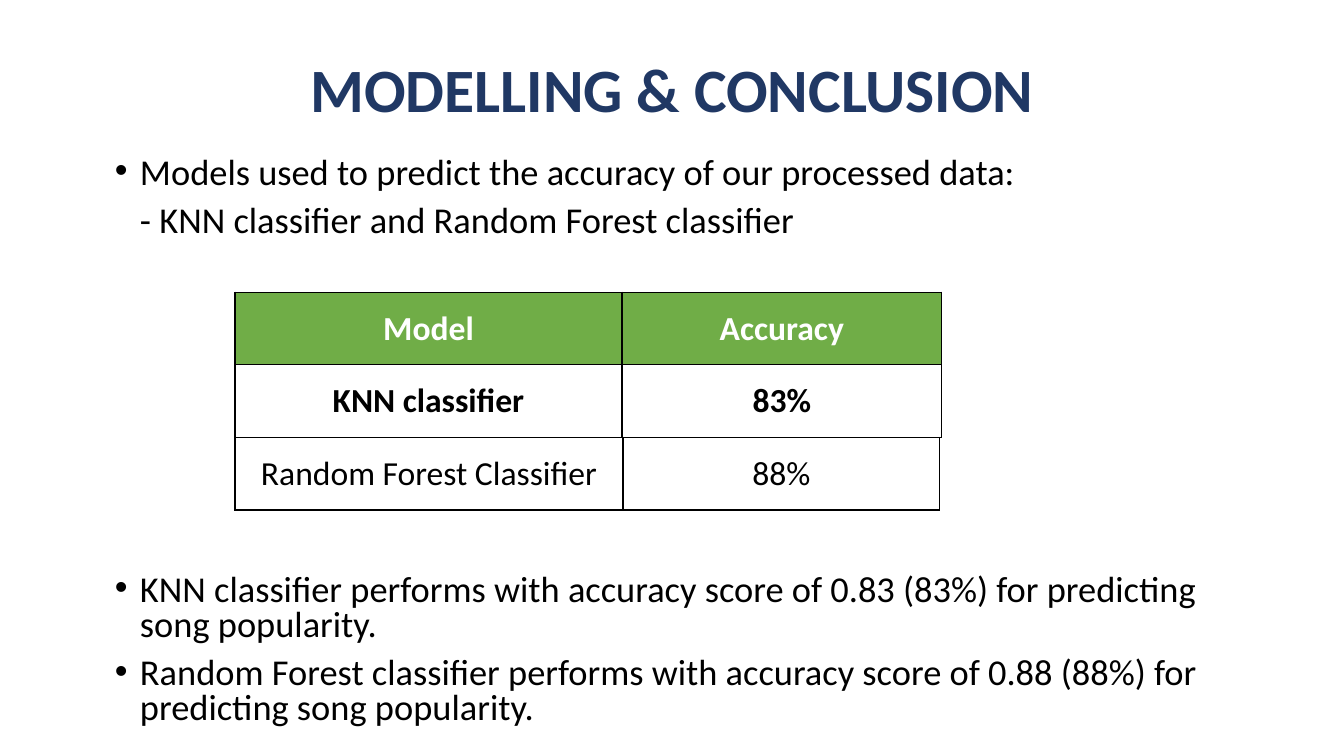
import pptx
import pptx.dml.color
import pptx.enum.text
import pptx.oxml
import pptx.oxml.ns
import pptx.util

Inches = pptx.util.Inches
Pt = pptx.util.Pt
RGBColor = pptx.dml.color.RGBColor
PP_ALIGN = pptx.enum.text.PP_ALIGN
MIDDLE = pptx.enum.text.MSO_ANCHOR.MIDDLE

NAVY = RGBColor(0x20, 0x38, 0x64)
GREEN = RGBColor(0x70, 0xAD, 0x47)
BLACK = RGBColor(0, 0, 0)
WHITE = RGBColor(0xFF, 0xFF, 0xFF)
FONT = "Calibri"

BODY = [
    ("Models used to predict the accuracy of our processed data:", True, 10),
    ("- KNN classifier and Random Forest classifier", False, 10),
    ("KNN classifier performs with accuracy score of 0.83 (83%) "
     "for predicting song popularity.", True, 238),
    ("Random Forest classifier performs with accuracy score of 0.88 (88%) "
     "for predicting song popularity.", True, 10),
]
KNN_ROWS = [
    (("Model", "Accuracy"), GREEN, WHITE, True),
    (("KNN classifier", "83%"), WHITE, BLACK, True),
]
FOREST_ROWS = [(("Random Forest Classifier", "88%"), WHITE, BLACK, False)]


def add_run(p, text, size, color, bold=False):
    """Append a formatted run to a paragraph."""
    r = p.add_run()
    r.text = text
    r.font.name = FONT
    r.font.size = Pt(size)
    r.font.bold = bold
    r.font.color.rgb = color


def add_title(s, text, left, top, width, height):
    """Place and format the slide title."""
    sp = s.shapes.title
    sp.left, sp.top = Inches(left), Inches(top)
    sp.width, sp.height = Inches(width), Inches(height)
    tf = sp.text_frame
    tf.vertical_anchor = MIDDLE
    p = tf.paragraphs[0]
    p.alignment = PP_ALIGN.CENTER
    p.line_spacing = 0.9
    add_run(p, text, 44, NAVY, True)


def set_bullet(p, bulleted):
    """Indent a paragraph and give it a hanging bullet if asked."""
    pPr = p._p.get_or_add_pPr()
    pPr.set("marL", str(Inches(0.25)))
    pPr.set("indent", str(Inches(-0.25) if bulleted else 0))
    ns = pptx.oxml.ns.nsdecls("a")
    tags = (f'<a:buFont {ns} typeface="Arial"/>', f'<a:buChar {ns} char="•"/>')
    for tag in tags if bulleted else (f"<a:buNone {ns}/>",):
        pPr.append(pptx.oxml.parse_xml(tag))


def add_body(s, items, left, top, width, height):
    """Add the body text with its bullets and spacing."""
    sp = s.shapes.add_textbox(
        Inches(left), Inches(top), Inches(width), Inches(height))
    tf = sp.text_frame
    tf.word_wrap = True
    for i, (text, bulleted, before) in enumerate(items):
        p = tf.add_paragraph() if i else tf.paragraphs[0]
        p.line_spacing = 0.8
        p.space_before = Pt(before)
        set_bullet(p, bulleted)
        add_run(p, text, 26, BLACK)


def set_borders(cell):
    """Draw a thin black line on every side of a cell."""
    tcPr = cell._tc.get_or_add_tcPr()
    ns = pptx.oxml.ns.nsdecls("a")
    for side in "LRTB":
        tcPr.append(pptx.oxml.parse_xml(
            f'<a:ln{side} {ns} w="{Pt(1)}"><a:solidFill>'
            f'<a:srgbClr val="{BLACK}"/></a:solidFill></a:ln{side}>'))


def add_accuracy_table(s, rows, left, top, widths, row_height=0.72):
    """Add a bordered table of models and their accuracy."""
    table = s.shapes.add_table(
        len(rows), len(widths), Inches(left), Inches(top),
        Inches(sum(widths)), Inches(row_height * len(rows))).table
    table.first_row = table.horz_banding = False
    for column, width in zip(table.columns, widths):
        column.width = Inches(width)
    for i, (texts, fill, color, bold) in enumerate(rows):
        for j, text in enumerate(texts):
            cell = table.cell(i, j)
            set_borders(cell)
            cell.fill.solid()
            cell.fill.fore_color.rgb = fill
            cell.vertical_anchor = MIDDLE
            p = cell.text_frame.paragraphs[0]
            p.alignment = PP_ALIGN.CENTER
            add_run(p, text, 24, color, bold)


def main():
    """Build and save the slide."""
    prs = pptx.Presentation()
    prs.slide_width, prs.slide_height = Inches(13.33), Inches(7.5)
    s = prs.slides.add_slide(prs.slide_layouts[5])
    add_title(s, "MODELLING & CONCLUSION", 0.92, 0.19, 11.5, 1.45)
    add_body(s, BODY, 1.04, 1.51, 11.5, 5.8)
    add_accuracy_table(s, KNN_ROWS, 2.33, 2.9, (3.84, 3.17))
    add_accuracy_table(s, FOREST_ROWS, 2.33, 4.34, (3.85, 3.14))
    prs.save("out.pptx")


if __name__ == "__main__":
    main()
